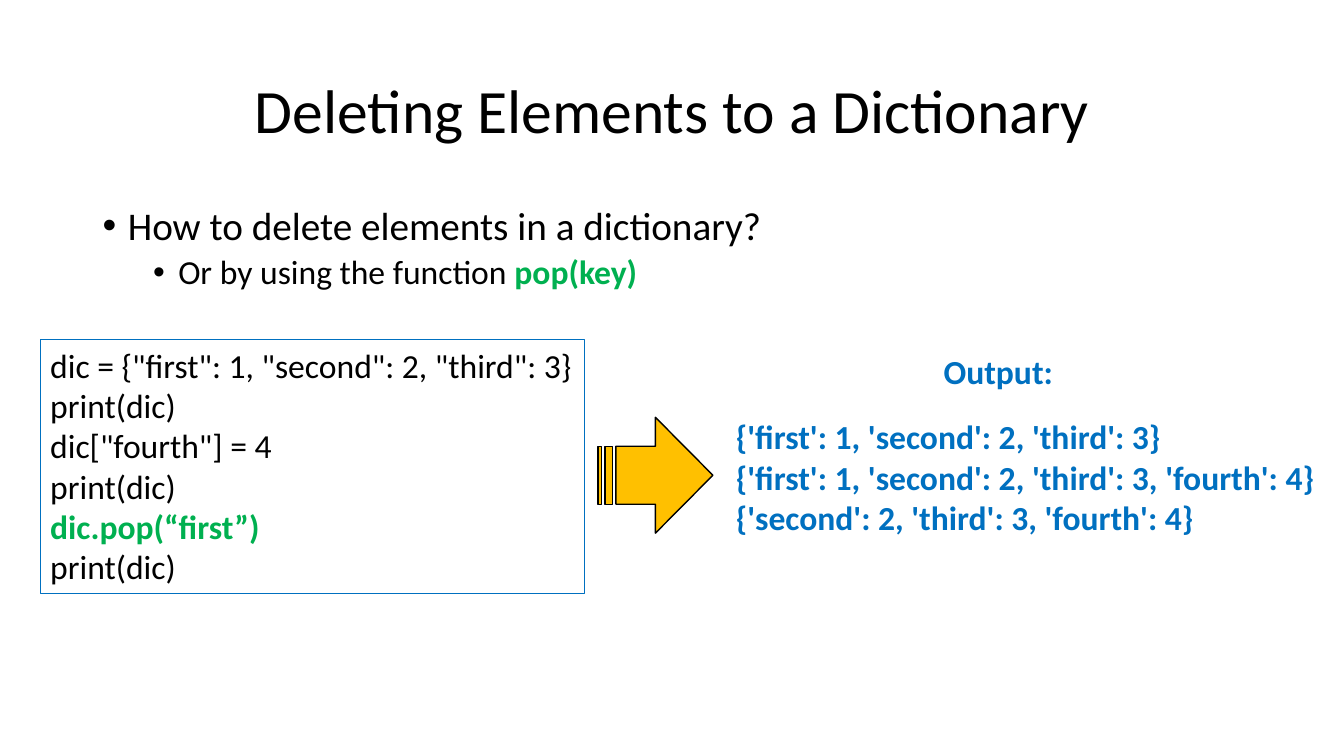
from dataclasses import dataclass

from lxml.etree import SubElement
from pptx import Presentation
from pptx.dml.color import RGBColor
from pptx.enum.shapes import MSO_SHAPE as Shape
from pptx.enum.text import MSO_ANCHOR as Anchor, MSO_AUTO_SIZE as AutoSize, PP_ALIGN as Align
from pptx.oxml.ns import qn
from pptx.util import Emu, Inches, Pt

SLIDE_WIDTH, SLIDE_HEIGHT = Inches(13.33), Inches(7.5)
BLACK, GREEN, BLUE, AMBER = "000000", "00B050", "0070C0", "FFC000"


@dataclass(frozen=True)
class Area:
    """A place on the slide, in percent of its width and height."""
    left: float
    top: float
    width: float
    height: float

    def lengths(self) -> tuple[Emu, Emu, Emu, Emu]:
        """Return left, top, width and height as slide lengths."""
        return (Emu(round(SLIDE_WIDTH * self.left / 100)),
                Emu(round(SLIDE_HEIGHT * self.top / 100)),
                Emu(round(SLIDE_WIDTH * self.width / 100)),
                Emu(round(SLIDE_HEIGHT * self.height / 100)))


@dataclass(frozen=True)
class Line:
    """One paragraph, with an optional highlighted ending."""
    text: str
    color: str = BLACK
    bold: bool = False
    size: float = 24
    align: Align = Align.LEFT
    spacing: float = 1.0
    before: float = 0
    level: int = 0
    bullet_indent: float = 0
    highlight: str = ""


@dataclass(frozen=True)
class Block:
    """A text block with its place and frame."""
    area: Area
    lines: tuple[Line, ...]
    wrap: bool = True
    grow: bool = True
    anchor: Anchor = Anchor.TOP
    outline: str = ""


BLOCKS = (
    Block(Area(6.9, 5.33, 86.27, 19.33),
          (Line("Deleting Elements to a Dictionary", size=44, align=Align.CENTER, spacing=0.9),),
          grow=False, anchor=Anchor.MIDDLE),
    Block(Area(6.9, 26.67, 86.27, 63.47),
          (Line("How to delete elements in a dictionary?", size=28, spacing=0.9, before=10,
                bullet_indent=0.25),
           Line("Or by using the function ", spacing=0.9, before=5, level=1,
                bullet_indent=0.75, highlight="pop(key)")),
          grow=False),
    Block(Area(69.47, 45.73, 9.75, 6.67), (Line("Output:", BLUE, True),), wrap=False),
    Block(Area(3, 44.93, 40.51, 33.6),
          (Line('dic = {"first": 1, "second": 2, "third": 3}'),
           Line("print(dic)"),
           Line('dic["fourth"] = 4'),
           Line("print(dic)"),
           Line("dic.pop(“first”)", GREEN, True),
           Line("print(dic)")),
          outline=BLUE),
    Block(Area(54.01, 54.4, 45.01, 17.47),
          tuple(Line(printed, BLUE, True) for printed in (
              "{'first': 1, 'second': 2, 'third': 3}",
              "{'first': 1, 'second': 2, 'third': 3, 'fourth': 4}",
              "{'second': 2, 'third': 3, 'fourth': 4}")),
          wrap=False),
)
ARROW_AREA = Area(44.49, 55.2, 8.55, 15.33)


def rgb(color: str) -> RGBColor:
    """Turn a hex string into a colour."""
    return RGBColor.from_string(color)


def style(font, color: str, bold: bool) -> None:
    """Set the colour and weight of a font."""
    font.color.rgb = rgb(color)
    font.bold = bold


def add_bullet(paragraph, indent: float) -> None:
    """Give a paragraph a hanging round bullet."""
    properties = paragraph._p.get_or_add_pPr()
    properties.set("marL", str(Inches(indent)))
    properties.set("indent", str(Inches(-0.25)))
    bullet_font = SubElement(properties, qn("a:buFont"))
    bullet_font.set("typeface", "Arial")
    SubElement(properties, qn("a:buChar")).set("char", "•")


def write_line(paragraph, line: Line) -> None:
    """Fill a paragraph with one line of text."""
    paragraph.alignment = line.align
    paragraph.line_spacing = line.spacing
    paragraph.space_before = Pt(line.before)
    paragraph.level = line.level
    if line.bullet_indent:
        add_bullet(paragraph, line.bullet_indent)
    paragraph.font.name = "Calibri"
    paragraph.font.size = Pt(line.size)
    opening = paragraph.add_run()
    opening.text = line.text
    if line.highlight:
        ending = paragraph.add_run()
        ending.text = line.highlight
        style(opening.font, line.color, line.bold)
        style(ending.font, GREEN, True)
    else:
        style(paragraph.font, line.color, line.bold)


def add_block(slide, block: Block) -> None:
    """Draw a text block."""
    box = slide.shapes.add_textbox(*block.area.lengths())
    if block.outline:
        box.line.color.rgb = rgb(block.outline)
        box.line.width = Pt(0.75)
    frame = box.text_frame
    frame.word_wrap = block.wrap
    frame.auto_size = AutoSize.SHAPE_TO_FIT_TEXT if block.grow else AutoSize.NONE
    frame.vertical_anchor = block.anchor
    for index, line in enumerate(block.lines):
        write_line(frame.add_paragraph() if index else frame.paragraphs[0], line)


def add_arrow(slide, area: Area) -> None:
    """Draw the striped arrow from the code to its output."""
    arrow = slide.shapes.add_shape(Shape.STRIPED_RIGHT_ARROW, *area.lengths())
    arrow.shadow.inherit = False
    arrow.fill.solid()
    arrow.fill.fore_color.rgb = rgb(AMBER)
    arrow.line.color.rgb = rgb(BLACK)
    arrow.line.width = Pt(1)


def main() -> None:
    """Build and save the slide."""
    deck = Presentation()
    deck.slide_width, deck.slide_height = SLIDE_WIDTH, SLIDE_HEIGHT
    slide = deck.slides.add_slide(deck.slide_layouts[6])
    for block in BLOCKS:
        add_block(slide, block)
    add_arrow(slide, ARROW_AREA)
    deck.save("out.pptx")


if __name__ == "__main__":
    main()
